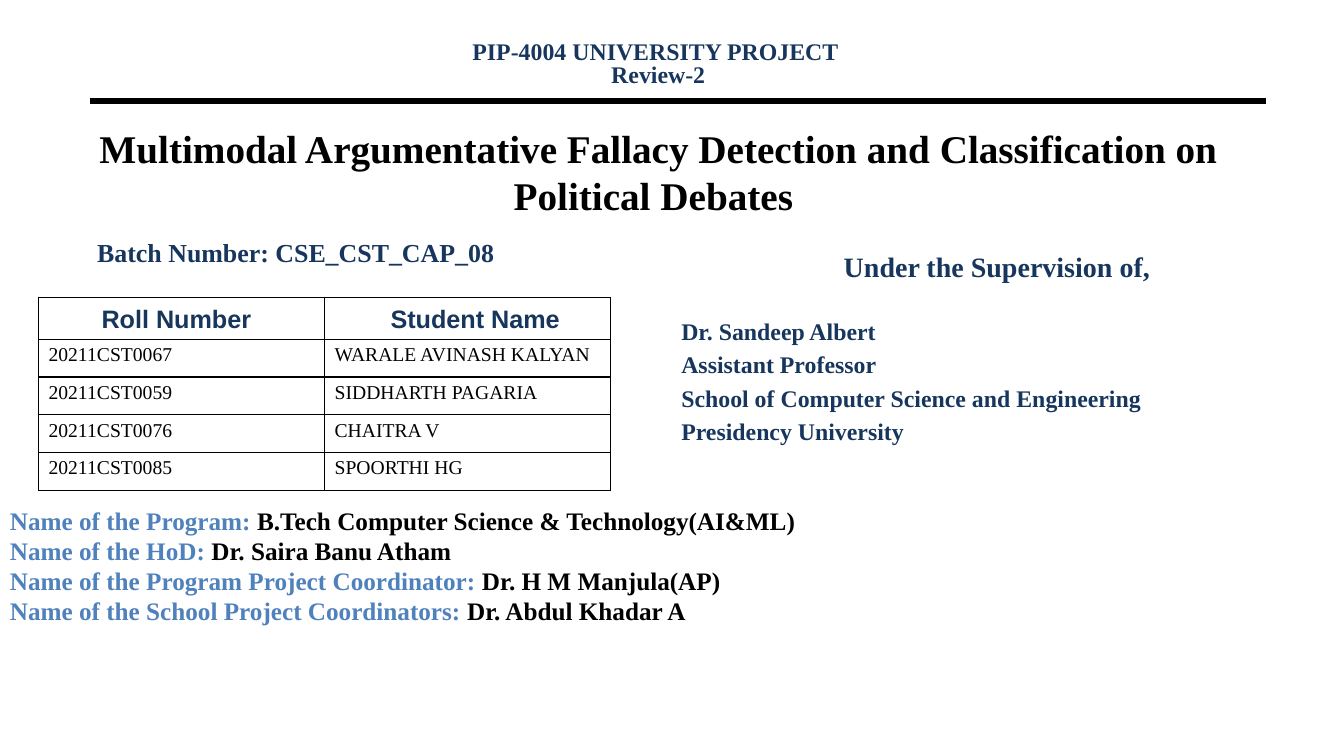
from lxml.etree import SubElement
from pptx import Presentation
from pptx.dml.color import RGBColor
from pptx.enum.shapes import MSO_CONNECTOR
from pptx.enum.text import MSO_ANCHOR as Anchor, PP_ALIGN as Align
from pptx.oxml.ns import qn
from pptx.util import Cm, Pt

NAVY, BLUE, BLACK = "17365D", "4F81BD", "000000"
SERIF, SANS = "Times New Roman", "Arial"

HEADINGS = ("Roll Number", "Student Name")
STUDENTS = [
    ("20211CST0067", "WARALE AVINASH KALYAN"),
    ("20211CST0059", "SIDDHARTH PAGARIA"),
    ("20211CST0076", "CHAITRA V"),
    ("20211CST0085", "SPOORTHI HG"),
]
SUPERVISOR = [
    "Dr. Sandeep Albert",
    "Assistant Professor",
    "School of Computer Science and Engineering",
    "Presidency University",
]
PROGRAM = [
    ("Name of the Program: ", "B.Tech Computer Science & Technology(AI&ML)"),
    ("Name of the HoD: ", "Dr. Saira Banu Atham"),
    ("Name of the Program Project Coordinator: ", "Dr. H M Manjula(AP)"),
    ("Name of the School Project Coordinators: ", "Dr. Abdul Khadar A"),
]


def color(hex_code):
    return RGBColor.from_string(hex_code)


def add_run(paragraph, text, size, hex_code=NAVY, font=SERIF, bold=True):
    run = paragraph.add_run()
    run.text = text
    run.font.size = Pt(size)
    run.font.name = font
    run.font.bold = bold
    run.font.color.rgb = color(hex_code)


def add_text(slide, box, paragraphs, align=Align.LEFT, anchor=Anchor.TOP):
    """Each paragraph is a list of (text, size, colour) runs; returns the paragraphs."""
    frame = slide.shapes.add_textbox(*map(Cm, box)).text_frame
    frame.word_wrap = True
    frame.vertical_anchor = anchor
    for index, runs in enumerate(paragraphs):
        paragraph = frame.add_paragraph() if index else frame.paragraphs[0]
        paragraph.alignment = align
        for run in runs:
            add_run(paragraph, *run)
    return frame.paragraphs


def add_rule(slide, left, right, y):
    rule = slide.shapes.add_connector(
        MSO_CONNECTOR.STRAIGHT, Cm(left), Cm(y), Cm(right), Cm(y))
    rule.line.color.rgb = color(BLACK)
    rule.line.width = Pt(4.5)
    SubElement(rule.element.spPr, qn("a:effectLst"))


def add_borders(cell):
    properties = cell._tc.get_or_add_tcPr()
    for position, side in enumerate(("lnL", "lnR", "lnT", "lnB")):
        border = properties.makeelement(qn(f"a:{side}"), {"w": str(Pt(1))})
        fill = SubElement(border, qn("a:solidFill"))
        SubElement(fill, qn("a:srgbClr"), val=BLACK)
        properties.insert(position, border)


def add_grid(slide, left, top, widths, heights):
    """Add an unfilled table whose column and row sizes are given in cm."""
    table = slide.shapes.add_table(
        len(heights), len(widths), Cm(left), Cm(top),
        Cm(sum(widths)), Cm(sum(heights))).table
    for column, width in zip(table.columns, widths):
        column.width = Cm(width)
    for row, height in zip(table.rows, heights):
        row.height = Cm(height)
    for cell in table.iter_cells():
        cell.fill.background()
    return table


def add_heading_table(slide):
    table = add_grid(slide, 1.55, 7.55, (5.79, 9.27), [0.84] * 6)
    for column, heading in enumerate(HEADINGS):
        cell = table.cell(0, column)
        cell.vertical_anchor = Anchor.MIDDLE
        paragraph = cell.text_frame.paragraphs[0]
        paragraph.alignment = Align.CENTER
        add_run(paragraph, heading, 18, font=SANS)


def add_student_table(slide):
    table = add_grid(slide, 0.97, 7.49, (7.21, 7.21),
                     [1.06] + [0.95] * len(STUDENTS))
    for cell in table.iter_cells():
        add_borders(cell)
    for row, student in enumerate(STUDENTS, start=1):
        for column, value in enumerate(student):
            paragraph = table.cell(row, column).text_frame.paragraphs[0]
            add_run(paragraph, value, 14, BLACK, bold=False)


def main():
    prs = Presentation()
    prs.slide_width, prs.slide_height = Cm(33.87), Cm(19.05)
    slide = prs.slides.add_slide(prs.slide_layouts[6])

    add_rule(slide, 2.27, 31.9, 2.54)
    add_text(slide, (2.2, 2.98, 28.78, 2.67),
             [[("Multimodal Argumentative Fallacy Detection and Classification "
                "on Political Debates ", 28, BLACK)]], Align.CENTER, Anchor.MIDDLE)
    add_text(slide, (2.2, 5.84, 11.02, 1.52),
             [[("Batch Number: CSE_CST_CAP_08", 18.5, NAVY)]])
    add_heading_table(slide)

    heading, name, *details = add_text(
        slide, (16.92, 6.15, 16.41, 5.61),
        [[("Under the Supervision of,", 20, NAVY)],
         *([(line, 17, NAVY)] for line in SUPERVISOR)])
    heading.alignment = Align.CENTER
    name.space_before = Pt(24.4)
    for detail in details:
        detail.space_before = Pt(3.4)

    course = add_text(slide, (11.08, 0.94, 11.02, 1.52),
                      [[("PIP-4004 UNIVERSITY PROJECT ", 17, NAVY)],
                       [("Review-2", 17, NAVY)]], Align.CENTER)
    for line in course:
        line.line_spacing = 0.8

    add_text(slide, (0, 12.6, 34.04, 4.34),
             [[(label, 18, BLUE), (value, 18, BLACK)] for label, value in PROGRAM])
    add_student_table(slide)

    prs.save("out.pptx")


if __name__ == "__main__":
    main()
